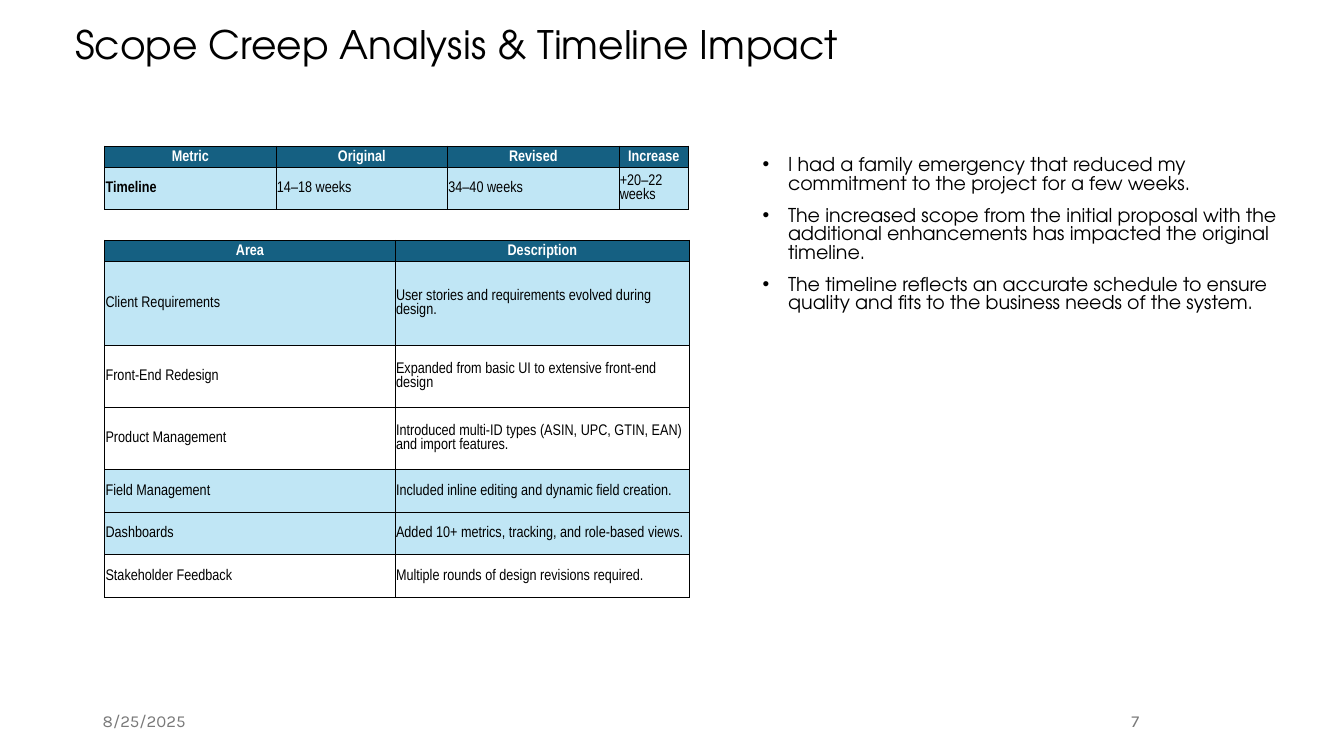
from lxml.etree import SubElement
from pptx import Presentation
from pptx.dml.color import RGBColor
from pptx.enum.text import MSO_ANCHOR, PP_ALIGN
from pptx.oxml.ns import qn
from pptx.util import Cm, Pt

INK, WHITE, GREY = "000000", "FFFFFF", "797979"
NAVY, SKY = "156082", "C0E6F5"
SANS = "TeX Gyre Adventor"


def hue(code):
    return RGBColor.from_string(code)


def write(para, text, color, **form):
    run = para.add_run()
    run.text = text
    run.font.color.rgb = hue(color)
    for key, value in form.items():
        setattr(run.font, key, value)


deck = Presentation()
deck.slide_width, deck.slide_height = Cm(33.87), Cm(19.05)
slide = deck.slides.add_slide(deck.slide_layouts[6])

# Title, date and page number
labels = [
    ("Scope Creep Analysis & Timeline Impact", (1.65, 0.53, 29.21, 1.35),
     SANS, 28, INK, MSO_ANCHOR.TOP, {"line_spacing": 0.9}),
    ("8/25/2025", (2.34, 17.65, 7.62, 1.02),
     "Karla", 12, GREY, MSO_ANCHOR.MIDDLE, {}),
    ("7", (23.93, 17.65, 5.03, 1.02),
     "Karla", 12, GREY, MSO_ANCHOR.MIDDLE, {"alignment": PP_ALIGN.RIGHT}),
]
for text, place, face, size, color, anchor, form in labels:
    frame = slide.shapes.add_textbox(*map(Cm, place)).text_frame
    frame.word_wrap = True
    frame.vertical_anchor = anchor
    para = frame.paragraphs[0]
    for key, value in form.items():
        setattr(para, key, value)
    write(para, text, color, name=face, size=Pt(size))

# Reasons
points = [
    "I had a family emergency that reduced my commitment to the project "
    "for a few weeks.",
    "The increased scope from the initial proposal with the additional "
    "enhancements has impacted the original timeline.",
    "The timeline reflects an accurate schedule to ensure quality and fits "
    "to the business needs of the system.",
]
body = slide.shapes.add_textbox(Cm(18.97), Cm(3.84), Cm(14.02), Cm(4.42))
frame = body.text_frame
frame.word_wrap = True
for i, text in enumerate(points):
    para = frame.add_paragraph() if i else frame.paragraphs[0]
    para.line_spacing = 0.8
    para.space_before = Pt(10 if i else 0)
    props = para._p.get_or_add_pPr()
    props.set("marL", str(Cm(0.64)))
    props.set("indent", str(-Cm(0.64)))
    SubElement(props, qn("a:buFont"), typeface="Arial")
    SubElement(props, qn("a:buChar"), char="•")
    write(para, text, INK, name=SANS, size=Pt(13.6))

# Tables: top, column widths, row heights, shaded rows, bold cells, content
tables = [
    (6.05, [7.32, 7.42], [0.53, 2.11, 1.57, 1.57, 1.07, 1.07, 1.07],
     {1, 4, 5}, set(), [
         ("Area", "Description"),
         ("Client Requirements",
          "User stories and requirements evolved during design."),
         ("Front-End Redesign",
          "Expanded from basic UI to extensive front-end design"),
         ("Product Management",
          "Introduced multi-ID types (ASIN, UPC, GTIN, EAN) "
          "and import features."),
         ("Field Management",
          "Included inline editing and dynamic field creation."),
         ("Dashboards", "Added 10+ metrics, tracking, and role-based views."),
         ("Stakeholder Feedback",
          "Multiple rounds of design revisions required."),
     ]),
    (3.68, [4.32, 4.32, 4.32, 1.75], [0.53, 1.07], {1}, {"Timeline"}, [
        ("Metric", "Original", "Revised", "Increase"),
        ("Timeline", "14–18 weeks", "34–40 weeks", "+20–22 weeks"),
    ]),
]
inset = {"margin_left": Cm(0.02), "margin_right": Cm(0.02),
         "margin_top": Cm(0.02), "margin_bottom": 0,
         "vertical_anchor": MSO_ANCHOR.MIDDLE}
for top, widths, heights, shaded, strong, rows in tables:
    table = slide.shapes.add_table(
        len(rows), len(widths), Cm(2.64), Cm(top),
        Cm(sum(widths)), Cm(sum(heights))).table
    table.horz_banding = False
    for column, width in zip(table.columns, widths):
        column.width = Cm(width)
    for r, words in enumerate(rows):
        table.rows[r].height = Cm(heights[r])
        head = r == 0
        for c, text in enumerate(words):
            cell = table.cell(r, c)
            for key, value in inset.items():
                setattr(cell, key, value)
            for side in ("a:lnL", "a:lnR", "a:lnT", "a:lnB"):
                line = SubElement(cell._tc.get_or_add_tcPr(), qn(side),
                                  w=str(Pt(0.5)))
                paint = SubElement(line, qn("a:solidFill"))
                SubElement(paint, qn("a:srgbClr"), val=INK)
            if head or r in shaded:
                cell.fill.solid()
                cell.fill.fore_color.rgb = hue(NAVY if head else SKY)
            else:
                cell.fill.background()
            para = cell.text_frame.paragraphs[0]
            para.alignment = PP_ALIGN.CENTER if head else PP_ALIGN.LEFT
            write(para, text, WHITE if head else INK, name="Arial Narrow",
                  size=Pt(11), bold=head or text in strong)

deck.save("out.pptx")
